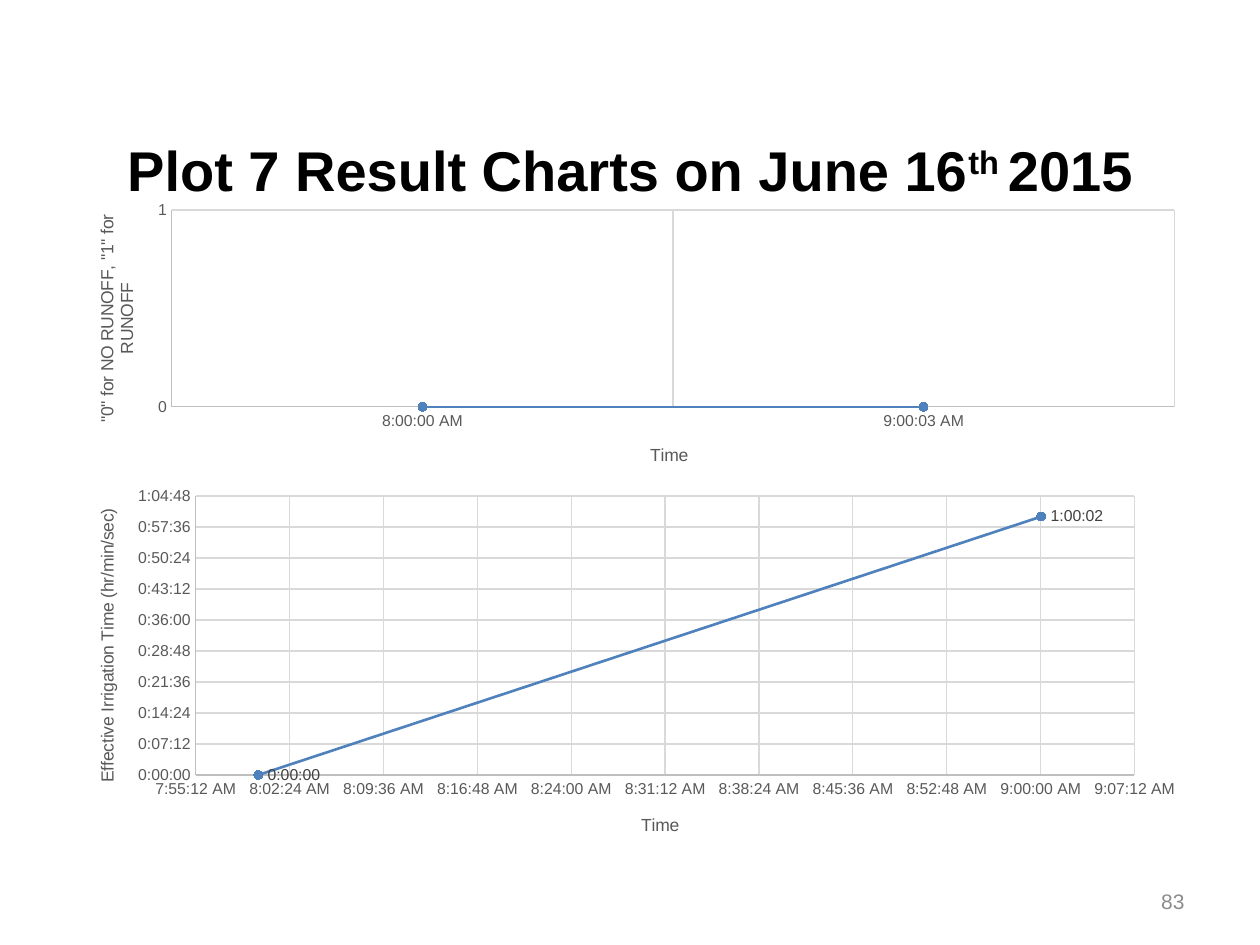
from lxml.etree import SubElement, fromstring
from pptx import Presentation
from pptx.chart.data import CategoryChartData, XyChartData
from pptx.chart.datalabel import DataLabels
from pptx.dml.color import RGBColor
from pptx.enum.chart import XL_CHART_TYPE as ChartType, XL_LABEL_POSITION as LabelPosition
from pptx.enum.chart import XL_MARKER_STYLE as MarkerStyle, XL_TICK_MARK as TickMark
from pptx.enum.text import MSO_ANCHOR as Anchor, PP_ALIGN as Align
from pptx.oxml.ns import nsdecls, qn
from pptx.util import Inches, Pt

BLUE, GRID, AXIS, GREY = "4F81BD", "D9D9D9", "BFBFBF", "595959"
DURATION = "h:mm:ss;@"


def rgb(hex_value):
    """Turn a hex string into a colour."""
    return RGBColor.from_string(hex_value)


def set_font(font, size, color, bold=False):
    """Apply the slide's typeface with a size, colour and weight."""
    for key, value in {"name": "Arial", "size": Pt(size), "bold": bold}.items():
        setattr(font, key, value)
    font.color.rgb = rgb(color)


def set_line(line, color, width=0.75):
    """Give a line its colour and width."""
    line.color.rgb = rgb(color)
    line.width = Pt(width)


def add_text(slide, box, runs, align, size, color, bold=False):
    """Place one paragraph of (text, baseline) runs in a box."""
    frame = slide.shapes.add_textbox(*map(Inches, box)).text_frame
    frame.word_wrap = True
    frame.vertical_anchor = Anchor.MIDDLE
    paragraph = frame.paragraphs[0]
    paragraph.alignment = align
    for text, baseline in runs:
        run = paragraph.add_run()
        run.text = text
        set_font(run.font, size, color, bold)
        if baseline:
            run.font._element.set("baseline", str(baseline))


def set_layout(parent, index, **fractions):
    """Fix a chart part at fractions of the chart box."""
    for old in parent.findall(qn("c:layout")):
        parent.remove(old)
    layout = fromstring(f"<c:layout {nsdecls('c')}><c:manualLayout/></c:layout>")
    settings = {"xMode": "edge", "yMode": "edge", **fractions}
    if "w" in fractions:
        settings = {"layoutTarget": "inner", **settings}
    for tag, value in settings.items():
        SubElement(layout[0], qn(f"c:{tag}")).set("val", str(value))
    parent.insert(index, layout)


def style_axis(axis, title, position, scale):
    """Format an axis with its title, grid and scale."""
    settings = {"has_major_gridlines": True, "major_tick_mark": TickMark.NONE,
                "minor_tick_mark": TickMark.NONE, **scale}
    for key, value in settings.items():
        setattr(axis, key, value)
    set_line(axis.format.line, AXIS)
    set_line(axis.major_gridlines.format.line, GRID)
    set_font(axis.tick_labels.font, 9, GREY)
    frame = axis.axis_title.text_frame
    frame.text = title
    set_font(frame.paragraphs[0].runs[0].font, 10, GREY)
    set_layout(axis.axis_title._element, 1, x=position[0], y=position[1])


def add_time_chart(slide, box, kind, data, plot):
    """Place a one-series chart with the shared line and marker style."""
    chart = slide.shapes.add_chart(kind, *map(Inches, box), data).chart
    chart.has_legend = chart.has_title = False
    set_font(chart.font, 10, "000000")
    chart.plots[0].vary_by_categories = False
    series = chart.plots[0].series[0]
    series.smooth = False
    set_line(series.format.line, BLUE, 1.5)
    series.marker.style = MarkerStyle.CIRCLE
    series.marker.size = 5
    series.marker.format.fill.solid()
    series.marker.format.fill.fore_color.rgb = rgb(BLUE)
    set_line(series.marker.format.line, BLUE)
    plot_area = chart._chartSpace.find(".//" + qn("c:plotArea"))
    set_layout(plot_area, 0, **dict(zip("xywh", plot)))
    return chart, series


def add_trend(series):
    """Add a dotted linear trend line to a series."""
    trend = fromstring(
        f'<c:trendline {nsdecls("c", "a")}><c:spPr><a:ln w="{Pt(1.5)}"><a:solidFill>'
        f'<a:srgbClr val="{BLUE}"/></a:solidFill><a:prstDash val="sysDot"/></a:ln></c:spPr>'
        '<c:trendlineType val="linear"/><c:dispRSqr val="0"/><c:dispEq val="0"/></c:trendline>')
    series._element.find(qn("c:cat")).addprevious(trend)


def add_runoff_chart(slide, box):
    """Chart whether runoff occurred at each time."""
    data = CategoryChartData()
    data.categories = ["8:00:00 AM", "9:00:03 AM"]
    data.add_series("Series 1", (0, 0))
    chart, series = add_time_chart(slide, box, ChartType.LINE_MARKERS, data,
                                   (0.096, 0.05, 0.884, 0.674))
    add_trend(series)
    style_axis(chart.category_axis, "Time", (0.515, 0.84), {})
    style_axis(chart.value_axis, '"0" for NO RUNOFF, "1" for RUNOFF', (0.026, 0.055),
               {"minimum_scale": 0, "maximum_scale": 1, "major_unit": 1})


def add_irrigation_chart(slide, box):
    """Chart effective irrigation time against time of day."""
    data = XyChartData(number_format=DURATION)
    irrigation = data.add_series("Series 1")
    for time, duration in ((0.333333, 0), (0.375035, 0.041701)):
        irrigation.add_data_point(time, duration)
    chart, series = add_time_chart(slide, box, ChartType.XY_SCATTER_LINES, data,
                                   (0.117, 0.046, 0.828, 0.738))
    axes = (
        (chart.category_axis, "Time", (0.507, 0.878), 0.33, 0.38, "h:mm:ss AM/PM"),
        (chart.value_axis, "Effective Irrigation Time (hr/min/sec)", (0.026, 0.07),
         0, 0.045, DURATION),
    )
    for axis, title, position, low, high, number_format in axes:
        style_axis(axis, title, position,
                   {"minimum_scale": low, "maximum_scale": high, "major_unit": 0.005})
        axis.tick_labels.number_format = number_format
        axis.tick_labels.number_format_is_linked = False
    labels = DataLabels(series._element.get_or_add_dLbls())
    for key, value in {"show_value": True, "position": LabelPosition.RIGHT,
                       "number_format": DURATION, "number_format_is_linked": False}.items():
        setattr(labels, key, value)
    set_font(labels.font, 9, "404040")


def main():
    """Build the slide and save it."""
    deck = Presentation()
    deck.slide_width, deck.slide_height = Inches(10), Inches(7.5)
    slide = deck.slides.add_slide(deck.slide_layouts[6])
    heading = (("Plot 7 Result Charts on June 16", 0), ("th ", 30000), ("2015", 0))
    add_text(slide, (0.5, 0.9, 9, 0.88), heading, Align.CENTER, 32, "000000", True)
    add_text(slide, (7.17, 6.95, 2.33, 0.4), (("83", 0),), Align.RIGHT, 12, "8C8C8C")
    add_runoff_chart(slide, (0.5, 1.55, 9, 2.32))
    add_irrigation_chart(slide, (0.5, 3.8, 9, 3))
    deck.save("out.pptx")


if __name__ == "__main__":
    main()
